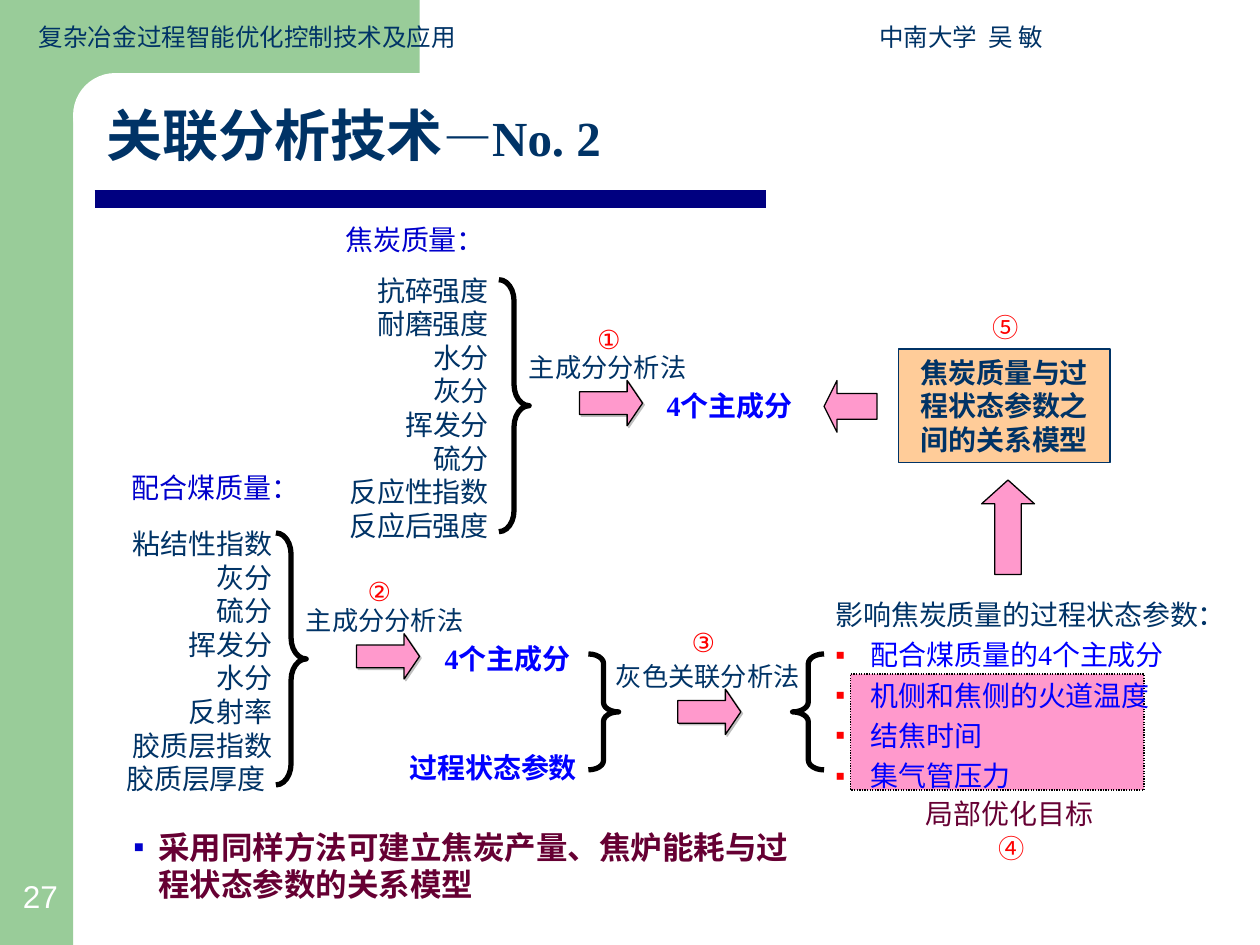
from lxml import etree
from pptx import Presentation
from pptx.dml.color import RGBColor
from pptx.enum import shapes, text
from pptx.oxml import ns
from pptx.util import Inches, Pt

GREEN = RGBColor(0x99, 0xCC, 0x99)
WHITE = RGBColor(0xFF, 0xFF, 0xFF)
BLACK = RGBColor(0, 0, 0)
NAVY = RGBColor(0, 0x33, 0x66)
RULE = RGBColor(0, 0, 0x80)
DEEP = RGBColor(0, 0, 0xCC)
BLUE = RGBColor(0, 0, 0xFF)
RED = RGBColor(0xFF, 0, 0)
WINE = RGBColor(0x66, 0, 0x33)
PINK = RGBColor(0xFF, 0x99, 0xCC)
PEACH = RGBColor(0xFF, 0xCC, 0x99)

ARIAL, TIMES, NOTO = "Arial", "Times New Roman", "Noto Sans CJK SC"
KIND = shapes.MSO_SHAPE
LEFT, MID, RIGHT = text.PP_ALIGN.LEFT, text.PP_ALIGN.CENTER, text.PP_ALIGN.RIGHT
TOP, CENTER, BASE = text.MSO_ANCHOR.TOP, text.MSO_ANCHOR.MIDDLE, text.MSO_ANCHOR.BOTTOM
PAD, SLIM = (0.1, 0.05, 0.1, 0.05), (0, 0, 0, 0.06)

HEAD = "复杂冶金过程智能优化控制技术及应用\t中南大学  吴 敏"
TITLE = [("关联分析技术", 32), ("—No. 2", 28)]
NOTE = "采用同样方法可建立焦炭产量、焦炉能耗与过程状态参数的关系模型"
MODEL = "焦炭质量与过程状态参数之间的关系模型"
COKE = ["抗碎强度", "耐磨强度", "水分", "灰分", "挥发分", "硫分", "反应性指数", "反应后强度"]
COAL = ["粘结性指数", "灰分", "硫分", "挥发分", "水分", "反射率", "胶质层指数", "胶质层厚度 "]
STATE = ["影响焦炭质量的过程状态参数：", "配合煤质量的4个主成分",
         "机侧和焦侧的火道温度", "结焦时间", "集气管压力"]

LISTS = [(COKE, (2.63, 2.1, 1.25, 2.33)), (COAL, (0.92, 4.19, 1.24, 2.17))]
NAMES = [("焦炭质量：", (2.63, 1.69, 1.33, 0.42), TIMES, 1.2),
         ("配合煤质量：", (0.92, 3.69, 1.58, 0.42), ARIAL, None)]
PARTS = [("4个主成分", (5.29, 3.01, 1.5, 0.42)),
         ("4个主成分", (3.53, 5.02, 1.5, 0.42)),
         ("过程状态参数", (3.25, 5.88, 1.58, 0.42))]
STEPS = [("主成分分析法", 4.1, 2.74, 0.5), ("主成分分析法", 2.33, 4.75, 0.5),
         ("灰色关联分析法", 4.79, 5.19, 0.59)]
MARKS = [("①", 4.83, 2.52, ARIAL), ("②", 3.01, 4.52, ARIAL), ("③", 5.58, 4.92, ARIAL),
         ("④", 8.02, 6.56, NOTO), ("⑤", 7.97, 2.42, NOTO)]
BRACES = [(KIND.RIGHT_BRACE, (3.96, 2.22, 0.24, 2), 0.7),
          (KIND.RIGHT_BRACE, (2.19, 4.23, 0.24, 2), 0.7),
          (KIND.RIGHT_BRACE, (4.67, 5.19, 0.24, 0.92), 0.31),
          (KIND.LEFT_BRACE, (6.29, 5.19, 0.25, 0.92), 0.31)]

deck = Presentation()
deck.slide_width, deck.slide_height = Inches(10), Inches(7.5)
slide = deck.slides.add_slide(deck.slide_layouts[6])


def sub(node, tag, **attrs):
    return etree.SubElement(node, ns.qn("a:" + tag), attrs)


def draw(kind, at, fill=None, line=None, width=0.75, adj=()):
    form = slide.shapes.add_shape(kind, *map(Inches, at))
    form.shadow.inherit = False
    if fill is None:
        form.fill.background()
    else:
        form.fill.solid()
        form.fill.fore_color.rgb = fill
    if line is None:
        form.line.fill.background()
    else:
        form.line.color.rgb = line
        form.line.width = Pt(width)
    for i, part in enumerate(adj):
        form.adjustments[i] = part
    return form


def style(font, name, size, color, bold=False):
    font.name, font.size, font.bold = name, Pt(size), bold
    font.color.rgb = color


def write(form, lines, name, size, color, bold=False, align=LEFT,
          anchor=TOP, pad=PAD, space=None, wrap=True):
    frame = form.text_frame
    frame.word_wrap, frame.vertical_anchor = wrap, anchor
    (frame.margin_left, frame.margin_top,
     frame.margin_right, frame.margin_bottom) = map(Inches, pad)
    frame.text = "\n".join(lines)
    for para in frame.paragraphs:
        para.alignment = align
        if space:
            para.line_spacing = space
        style(para.font, name, size, color, bold)
    return frame.paragraphs


def label(at, *args, **opts):
    return write(slide.shapes.add_textbox(*map(Inches, at)), *args, **opts)


def bullet(para, color, gap):
    props = para._p.get_or_add_pPr()
    props.set("marL", str(Inches(gap)))
    props.set("indent", str(-Inches(gap)))
    tint = sub(props, "buClr")
    sub(tint, "srgbClr", val=str(color))
    face = sub(props, "buFont", typeface=TIMES)
    mark = sub(props, "buChar", char="▪")
    last = props.find(ns.qn("a:defRPr"))
    for part in (tint, face, mark):
        last.addprevious(part)


def shade(form):
    effects = form._element.spPr.find(ns.qn("a:effectLst"))
    cast = sub(effects, "outerShdw", dist=str(Pt(1.4)), dir="2700000")
    tint = sub(cast, "srgbClr", val="808080")
    sub(tint, "alpha", val="50000")


draw(KIND.RECTANGLE, (0, 0, 0.58, 7.5), GREEN)
draw(KIND.RECTANGLE, (0.58, 0, 2.75, 0.92), GREEN)
draw(KIND.ROUNDED_RECTANGLE, (0.58, 0.58, 5.58, 0.67), WHITE, adj=[0.5])

title = label((0.75, 0.75, 8.83, 0.64), [""], TIMES, 32, NAVY, True)[0]
for words, size in TITLE:
    run = title.add_run()
    run.text = words
    run.font.size = Pt(size)

note = label((0.96, 6.52, 5.56, 0.7), [NOTE], TIMES, 18, WINE, True)
bullet(note[0], DEEP, 0.2)

goal = draw(KIND.RECTANGLE, (6.75, 5.35, 2.33, 0.92), PINK, BLACK)
sub(goal.line._get_or_add_ln(), "prstDash", val="sysDot")
state = label((6.63, 4.77, 3.12, 1.5), STATE, TIMES, 16, BLUE,
              anchor=CENTER, pad=SLIM, space=1.2)
state[0].font.color.rgb = NAVY
for para in state[1:]:
    bullet(para, RED, 0.28)
label((7.25, 6.27, 1.53, 0.37), ["局部优化目标"], ARIAL, 16, WINE, wrap=False)

for lines, at in LISTS:
    label(at, lines, ARIAL, 16, NAVY, align=RIGHT, anchor=CENTER, pad=SLIM)
for words, at, name, space in NAMES:
    label(at, [words], name, 16, DEEP, align=MID, anchor=CENTER, pad=SLIM, space=space)
for words, at in PARTS:
    label(at, [words], TIMES, 16, BLUE, True, anchor=CENTER, pad=SLIM, space=1.2)
for words, x, y, shift in STEPS:
    shade(draw(KIND.RIGHT_ARROW, (x + shift, y + 0.28, 0.5, 0.36), PINK, BLACK,
               adj=[0.5, 0.34]))
    label((x, y, 1.67, 0.35), [words], ARIAL, 15, NAVY)
for kind, at, curve in BRACES:
    draw(kind, at, line=BLACK, width=3, adj=[curve, 0.5])

model = draw(KIND.RECTANGLE, (7.13, 2.77, 1.68, 0.9), PEACH, NAVY)
write(model, [MODEL], ARIAL, 16, NAVY, True, align=MID)
draw(KIND.UP_ARROW, (7.79, 3.81, 0.42, 0.75), PINK, BLACK, adj=[0.5, 0.45])
draw(KIND.LEFT_ARROW, (6.54, 3.02, 0.42, 0.41), PINK, BLACK, adj=[0.5, 0.25])
for mark, x, y, name in MARKS:
    label((x - 0.19, y, 0.38, 0.35), [mark], name, 15, RED, align=MID, wrap=False)

rule = slide.shapes.add_connector(shapes.MSO_CONNECTOR.STRAIGHT,
                                  *map(Inches, (0.75, 1.58, 6.08, 1.58)))
rule.line.color.rgb, rule.line.width = RULE, Pt(10)
sub(rule._element.spPr, "effectLst")

head = label((0.21, 0.12, 9.58, 0.34), [HEAD], ARIAL, 14, NAVY, anchor=BASE)[0]
tabs = sub(head._p.get_or_add_pPr(), "tabLst")
sub(tabs, "tab", pos=str(Inches(6.67)), algn="l")
head._p.pPr.find(ns.qn("a:defRPr")).addprevious(tabs)
label((0, 6.91, 0.64, 0.4), ["27"], ARIAL, 18, WHITE, align=MID, anchor=BASE)

deck.save("out.pptx")
